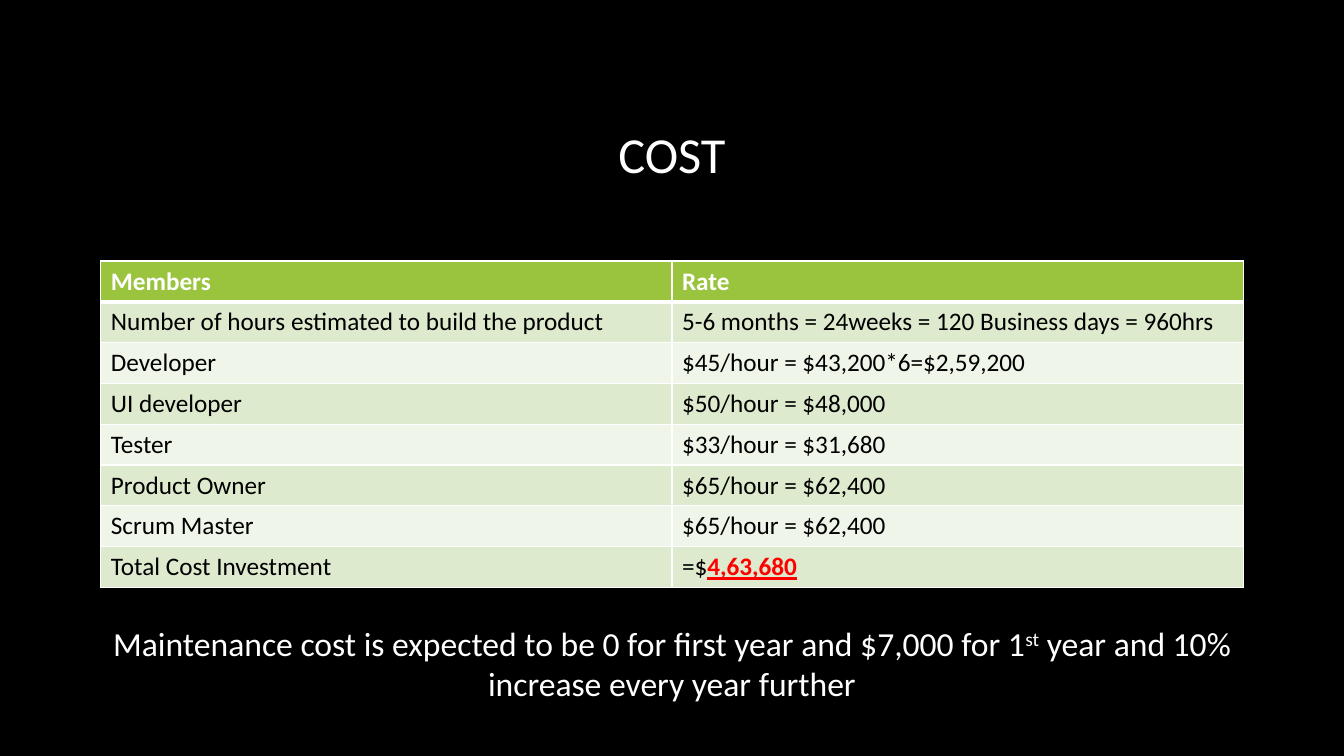
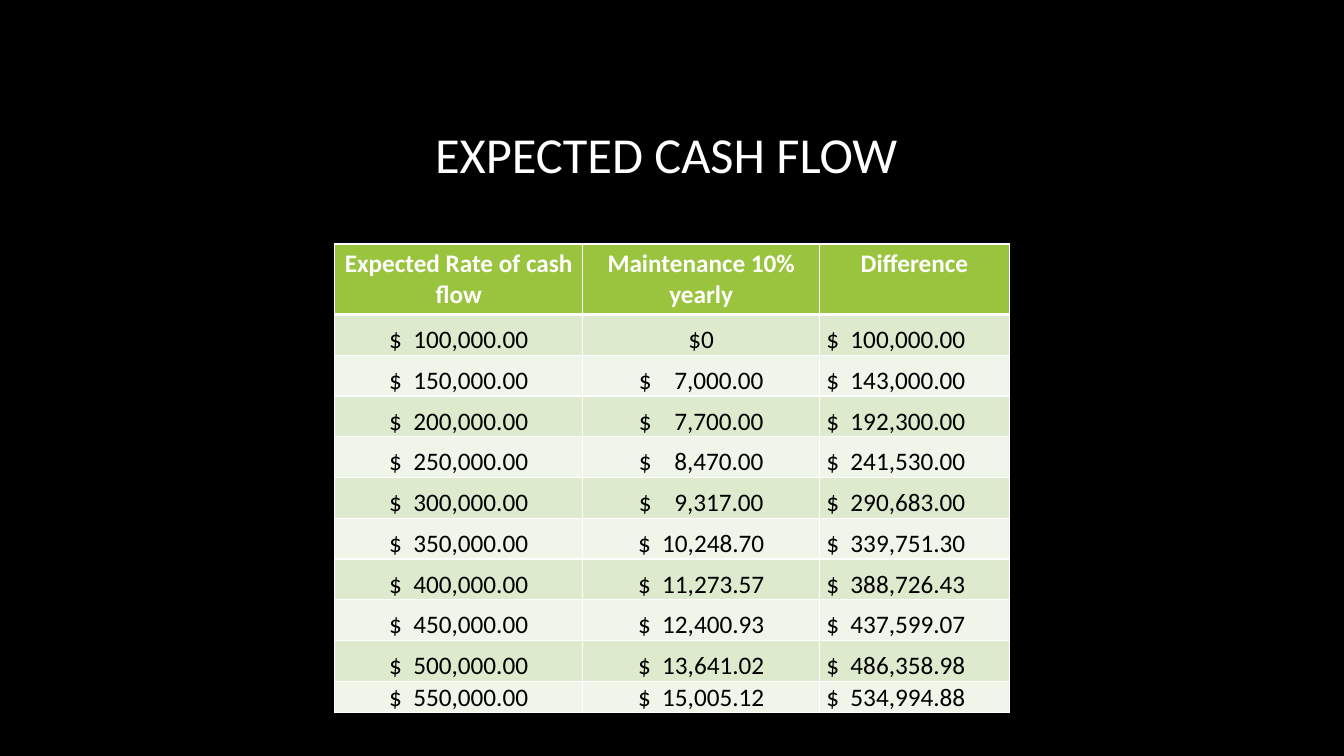
from dataclasses import dataclass

from pptx import Presentation
from pptx.dml.color import RGBColor
from pptx.enum.text import MSO_ANCHOR as Anchor, PP_ALIGN as Align
from pptx.oxml import parse_xml
from pptx.oxml.ns import nsdecls
from pptx.slide import Slide
from pptx.table import _Cell as Cell
from pptx.text.text import _Paragraph as Paragraph
from pptx.util import Inches, Pt


@dataclass(frozen=True)
class Theme:
    font: str = "Calibri"
    background: str = "000000"
    light: str = "FFFFFF"
    dark: str = "000000"
    header: str = "9AC43E"
    bands: tuple[str, str] = ("DEEACE", "EFF5E8")
    accent: str = "FF0000"
    title_size: int = 36
    note_size: int = 24
    table_size: int = 18
    border: int = 1
    header_border: int = 3


@dataclass(frozen=True)
class Span:
    text: str
    total: bool = False
    superscript: bool = False


@dataclass(frozen=True)
class Box:
    left: float
    top: float
    width: float
    height: float


@dataclass(frozen=True)
class CellStyle:
    """Layout of body cells: one alignment per column, insets left, top, right, bottom."""
    aligns: tuple[Align, ...]
    header_align: Align = Align.LEFT
    anchor: Anchor = Anchor.TOP
    insets: tuple[float, float, float, float] = (0.1, 0.05, 0.1, 0.05)


Content = str | tuple[Span, ...]

THEME = Theme()
TITLE_BOX = Box(1, 0.68, 11.33, 1.75)
COST_BOX = Box(1, 2.59, 11.33, 3.24)
NOTE_BOX = Box(1, 6.13, 11.33, 0.91)
CASH_BOX = Box(3.32, 2.42, 6.69, 4.65)

COST_ROWS: list[tuple[Content, ...]] = [
    ("Members", "Rate"),
    ("Number of hours estimated to build the product",
     "5-6 months = 24weeks = 120 Business days = 960hrs"),
    ("Developer", "$45/hour = $43,200*6=$2,59,200"),
    ("UI developer", "$50/hour = $48,000"),
    ("Tester", "$33/hour = $31,680"),
    ("Product Owner", "$65/hour = $62,400"),
    ("Scrum Master", "$65/hour = $62,400"),
    ("Total Cost Investment", (Span("=$"), Span("4,63,680", total=True))),
]
MAINTENANCE_NOTE = (
    Span("Maintenance cost is expected to be 0 for first year and $7,000 for 1"),
    Span("st", superscript=True),
    Span(" year and 10% increase every year further"),
)
CASH_HEADER = ("Expected Rate of cash flow", "Maintenance 10% yearly", "Difference")
YEARS = 10


# Text
def write(paragraph: Paragraph, content: Content, size: int, color: str,
          align: Align, bold: bool = False) -> None:
    font = paragraph.font
    font.name, font.size, font.bold = THEME.font, Pt(size), bold
    font.color.rgb = RGBColor.from_string(color)
    paragraph.alignment = align
    spans = (Span(content),) if isinstance(content, str) else content
    for span in spans:
        run = paragraph.add_run()
        run.text = span.text
        if span.total:
            run.font.bold = run.font.underline = True
            run.font.color.rgb = RGBColor.from_string(THEME.accent)
        if span.superscript:
            run._r.get_or_add_rPr().set("baseline", "30000")


def add_text(slide: Slide, box: Box, content: Content, size: int,
             anchor: Anchor = Anchor.TOP, line_spacing: float = 1.0) -> None:
    frame = slide.shapes.add_textbox(
        Inches(box.left), Inches(box.top), Inches(box.width), Inches(box.height)).text_frame
    frame.word_wrap = True
    frame.vertical_anchor = anchor
    paragraph = frame.paragraphs[0]
    paragraph.line_spacing = line_spacing
    write(paragraph, content, size, THEME.light, Align.CENTER)


# Slide with the shared background and title
def add_titled_slide(deck: Presentation, title: str) -> Slide:
    slide = deck.slides.add_slide(deck.slide_layouts[6])
    fill = slide.background.fill
    fill.solid()
    fill.fore_color.rgb = RGBColor.from_string(THEME.background)
    add_text(slide, TITLE_BOX, title, THEME.title_size, Anchor.MIDDLE, 0.9)
    return slide


# Tables
def paint_cell(cell: Cell, row: int) -> None:
    widths = {"L": THEME.border, "R": THEME.border,
              "T": THEME.header_border if row == 1 else THEME.border,
              "B": THEME.header_border if row == 0 else THEME.border}
    properties = cell._tc.get_or_add_tcPr()
    for side, width in widths.items():
        properties.append(parse_xml(
            f'<a:ln{side} {nsdecls("a")} w="{Pt(width)}"><a:solidFill>'
            f'<a:srgbClr val="{THEME.light}"/></a:solidFill></a:ln{side}>'))
    cell.fill.solid()
    color = THEME.bands[(row - 1) % 2] if row else THEME.header
    cell.fill.fore_color.rgb = RGBColor.from_string(color)


def add_table(slide: Slide, box: Box, rows: list[tuple[Content, ...]],
              widths: list[float], heights: list[float], style: CellStyle) -> None:
    table = slide.shapes.add_table(
        len(rows), len(widths), Inches(box.left), Inches(box.top),
        Inches(box.width), Inches(box.height)).table
    table.horz_banding = False
    for column, width in zip(table.columns, widths):
        column.width = Inches(width)
    for r, (contents, height) in enumerate(zip(rows, heights)):
        table.rows[r].height = Inches(height)
        for c, content in enumerate(contents):
            cell = table.cell(r, c)
            paint_cell(cell, r)
            if r:
                cell.vertical_anchor = style.anchor
                (cell.margin_left, cell.margin_top, cell.margin_right,
                 cell.margin_bottom) = map(Inches, style.insets)
            write(cell.text_frame.paragraphs[0], content, THEME.table_size,
                  THEME.dark if r else THEME.light,
                  style.aligns[c] if r else style.header_align, bold=r == 0)


# Cash flow figures
def money(amount: float) -> str:
    """Accounting format: smaller amounts stand further from the sign."""
    gap = 2 if amount >= 10_000 else 4
    return f" ${' ' * gap}{amount:,.2f}"


def cash_rows() -> list[tuple[Content, ...]]:
    rows: list[tuple[Content, ...]] = [CASH_HEADER]
    for year in range(YEARS):
        income = 100_000 + 50_000 * year
        upkeep = 7_000 * 1.1 ** (year - 1) if year else 0
        rows.append((money(income) + " ", money(upkeep) + " " if year else "$0",
                     money(income - upkeep)))
    return rows


def main() -> None:
    deck = Presentation()
    deck.slide_width, deck.slide_height = Inches(13.33), Inches(7.5)

    # Cost
    cost = add_titled_slide(deck, "COST")
    count = len(COST_ROWS)
    add_table(cost, COST_BOX, COST_ROWS, [COST_BOX.width / 2] * 2,
              [COST_BOX.height / count] * count, CellStyle((Align.LEFT, Align.LEFT)))
    add_text(cost, NOTE_BOX, MAINTENANCE_NOTE, THEME.note_size)

    # Expected cash flow
    cash = add_titled_slide(deck, "EXPECTED CASH FLOW ")
    header_height, last_height = 0.7, 0.31
    year_height = (CASH_BOX.height - header_height - last_height) / (YEARS - 1)
    add_table(cash, CASH_BOX, cash_rows(), [2.46, 2.35, 1.88],
              [header_height, *[year_height] * (YEARS - 1), last_height],
              CellStyle((Align.CENTER, Align.CENTER, Align.LEFT), Align.CENTER,
                        Anchor.BOTTOM, (0.01, 0.01, 0.01, 0)))

    deck.save("out.pptx")


if __name__ == "__main__":
    main()
